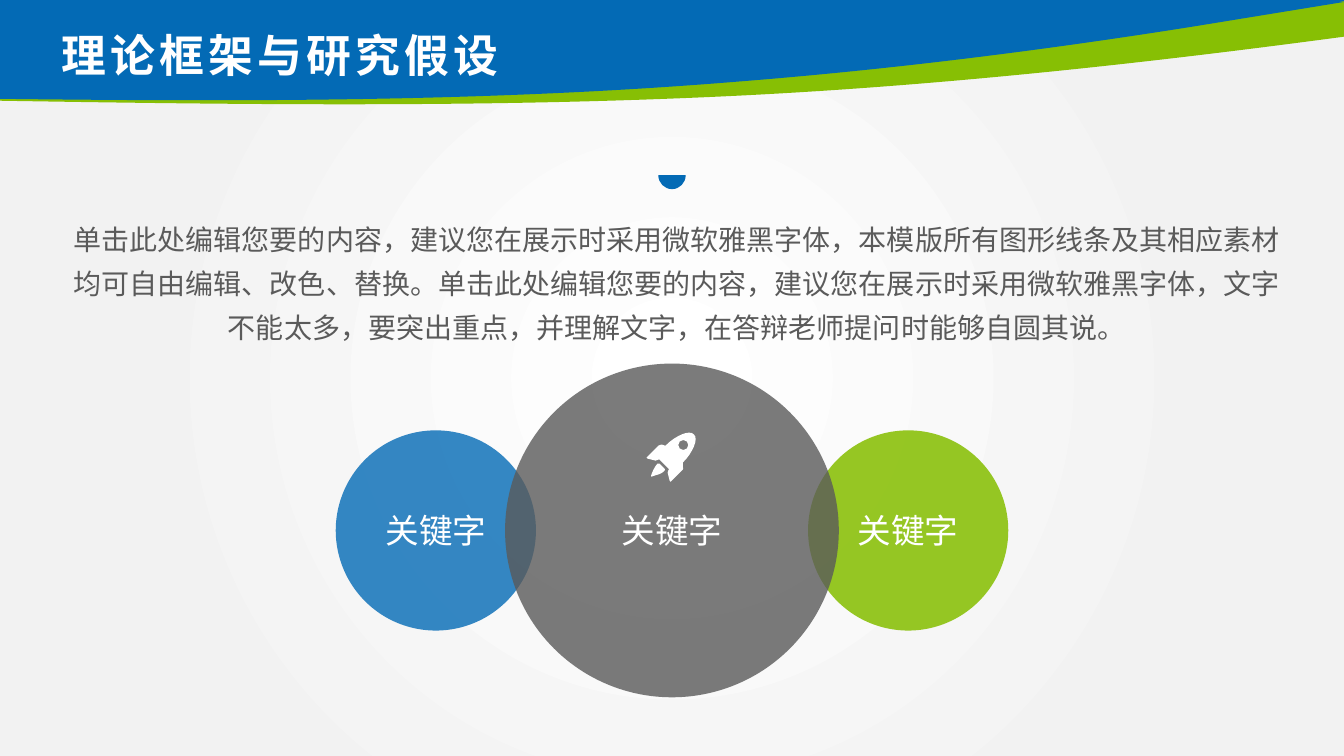
from lxml.etree import SubElement
from pptx import Presentation
from pptx.dml.color import RGBColor
from pptx.enum.shapes import MSO_SHAPE
from pptx.enum.text import MSO_ANCHOR, MSO_AUTO_SIZE, PP_ALIGN
from pptx.oxml import parse_xml
from pptx.oxml.ns import nsdecls, qn
from pptx.util import Pt

WIDTH, HEIGHT = 960, 540
BLUE, GREEN, GRAY, WHITE = "036AB5", "87BF04", "5A5A5A", "FFFFFF"
ASIAN_FONT = "Noto Sans CJK SC"

GREEN_BAND = [
    (0, 72), (175.7, 74.9, 351.4, 77, 527, 68.4),
    (672.5, 61.2, 817.2, 45.4, 962.6, 25.9), (962.6, 0, 962.6, 0, 962.6, 0),
    (817.2, 25.2, 672.5, 46, 527, 57.6), (351.4, 71.3, 175.7, 72, 0, 69.8),
    (0, 70.6, 0, 71.3, 0, 72),
]
BLUE_BAND = [
    (0, 0), (960, 0), (960, 0.7), (955.4, 1.4), (960, 1.4), (854, 18.7),
    (745.2, 36, 635.8, 49.7, 527, 58.3), (351.4, 72.7, 175.7, 72.7, 0, 70.6),
    (0, 69.8), (0, 1.4),
]
ROCKET_FLAME = [
    (13, 34), (12, 33, 12, 34, 11, 34), (7, 38, 3, 49, 5, 47),
    (13, 44, 14, 45, 18, 41), (18, 40, 19, 40, 18, 39),
]
ROCKET_BODY = [
    (36, 34), (36, 33, 36, 33, 36, 33), (46, 23, 52, 9, 47, 5),
    (43, 0, 29, 6, 19, 16), (19, 16, 19, 16, 18, 16), (15, 15, 15, 15, 15, 15),
    (14, 15, 13, 16, 12, 16), (0, 28, 0, 28, 0, 28), (0, 29, 0, 29, 1, 29),
    (9, 31, 9, 31, 9, 31), (10, 31, 11, 30, 12, 30), (12, 30, 13, 29, 13, 30),
    (15, 32, 20, 37, 22, 39), (23, 39, 22, 40, 22, 40), (22, 40, 21, 42, 21, 43),
    (23, 51, 23, 51, 23, 51), (23, 52, 23, 52, 24, 52), (36, 40, 36, 40, 36, 40),
    (36, 39, 37, 38, 36, 37),
]
ROCKET_WINDOW = [
    (33, 19), (31, 17, 31, 14, 33, 12), (35, 10, 38, 10, 40, 12),
    (42, 14, 42, 17, 40, 19), (38, 21, 35, 21, 33, 19),
]
HALF_DISC = [(19.6, 0), (19.6, 5.5, 15.2, 10, 9.8, 10), (4.4, 10, 0, 5.5, 0, 0)]


def color(value):
    return RGBColor.from_string(value)


def paint(shape, fill, opacity=100):
    shape.shadow.inherit = False
    shape.line.fill.background()
    shape.fill.solid()
    shape.fill.fore_color.rgb = color(fill)
    if opacity < 100:
        tone = shape.element.spPr.find(qn("a:solidFill")).find(qn("a:srgbClr"))
        SubElement(tone, qn("a:alpha"), val=str(opacity * 1000))


def bend(shape, contours):
    lines = iter(list(shape.element.iter(qn("a:lnTo"))))
    for contour in contours:
        for segment in contour[1:]:
            line = next(lines)
            if len(segment) == 2:
                continue
            line.tag = qn("a:cubicBezTo")
            for follower in (next(lines), next(lines)):
                line.append(follower[0])
                follower.getparent().remove(follower)


def add_outline(shapes, contours, left, top, scale, fill):
    builder = None
    for contour in contours:
        points = [
            (Pt(left + x * scale), Pt(top + y * scale))
            for segment in contour for x, y in zip(segment[::2], segment[1::2])]
        if builder is None:
            builder = shapes.build_freeform(*points[0])
        else:
            builder.move_to(*points[0])
        builder.add_line_segments(points[1:], close=True)
    shape = builder.convert_to_shape()
    bend(shape, contours)
    paint(shape, fill)
    return shape


def add_run(paragraph, text, size, fill, name="Calibri"):
    run = paragraph.add_run()
    run.text = text
    run.font.size = Pt(size)
    run.font.name = name
    run.font.color.rgb = color(fill)
    SubElement(run.font._element, qn("a:ea"), typeface=ASIAN_FONT)
    return run


def add_centered_text(slide, text, left, top, width, height, size, fill, spacing=None):
    box = slide.shapes.add_textbox(Pt(left), Pt(top), Pt(width), Pt(height))
    box.text_frame.word_wrap = True
    box.text_frame.auto_size = MSO_AUTO_SIZE.SHAPE_TO_FIT_TEXT
    paragraph = box.text_frame.paragraphs[0]
    paragraph.alignment = PP_ALIGN.CENTER
    paragraph.line_spacing = spacing
    add_run(paragraph, text, size, fill)


def set_background(slide):
    fill = slide.background.fill
    fill.gradient()
    for stop, position, tone in zip(fill.gradient_stops, (0, 0.73), (WHITE, "F2F2F2")):
        stop.position = position
        stop.color.rgb = color(tone)
    gradient = next(slide.element.iter(qn("a:gradFill")))
    gradient.replace(gradient.find(qn("a:lin")), parse_xml(
        f'<a:path {nsdecls("a")} path="circle">'
        '<a:fillToRect l="50000" t="50000" r="50000" b="50000"/></a:path>'))


def add_header(slide, text, left, top):
    layout_tree = slide.slide_layout.shapes.element
    for number, (band, fill) in enumerate([(GREEN_BAND, GREEN), (BLUE_BAND, BLUE)]):
        shape = add_outline(slide.shapes, [band], left, top, 1, fill)
        shape.element.nvSpPr.cNvPr.set("id", str(101 + number))
        layout_tree.insert(2 + number, shape.element)
    title = slide.shapes.title
    title.left, title.top = Pt(left + 36.72), Pt(top + 20.2)
    title.width, title.height = Pt(484.5), Pt(42.5)
    frame = title.text_frame
    frame.word_wrap = True
    frame.vertical_anchor = MSO_ANCHOR.MIDDLE
    frame.auto_size = MSO_AUTO_SIZE.SHAPE_TO_FIT_TEXT
    paragraph = frame.paragraphs[0]
    paragraph.alignment = PP_ALIGN.LEFT
    paragraph.line_spacing = 0.9
    run = add_run(paragraph, text, 32, WHITE, ASIAN_FONT)
    run.font.bold = True
    run.font._element.set("spc", "300")


def add_keywords(slide, center_x, center_y, offset):
    discs = [(offset, 143, GREEN, 87), (-offset, 143, BLUE, 80), (0, 238.4, GRAY, 80)]
    for shift, diameter, fill, opacity in discs:
        disc = slide.shapes.add_shape(
            MSO_SHAPE.OVAL, Pt(center_x + shift - diameter / 2),
            Pt(center_y - diameter / 2), Pt(diameter), Pt(diameter))
        paint(disc, fill, opacity)
    for shift in (0, offset, -offset):
        add_centered_text(slide, "关键字", center_x + shift - 60.5, center_y - 18.2,
                          121, 36.4, 24, WHITE)
    rocket = slide.shapes.add_group_shape()
    for contours in ([ROCKET_FLAME], [ROCKET_BODY, ROCKET_WINDOW]):
        add_outline(rocket.shapes, contours, center_x - 18.2, center_y - 72.2, 0.72, WHITE)


def add_introduction(slide, left, top, width, height):
    add_centered_text(
        slide,
        "单击此处编辑您要的内容，建议您在展示时采用微软雅黑字体，本模版所有图形线条及其相应素材"
        "均可自由编辑、改色、替换。单击此处编辑您要的内容，建议您在展示时采用微软雅黑字体，文字"
        "不能太多，要突出重点，并理解文字，在答辩老师提问时能够自圆其说。",
        left, top, width, height, 20, GRAY, 1.3)
    add_outline(slide.shapes, [HALF_DISC], WIDTH / 2 - 9.8, top - 23.2, 1, BLUE)


def main():
    presentation = Presentation()
    presentation.slide_width, presentation.slide_height = Pt(WIDTH), Pt(HEIGHT)
    slide = presentation.slides.add_slide(presentation.slide_layouts[5])
    set_background(slide)
    add_header(slide, "理论框架与研究假设", 0, 0)
    add_keywords(slide, WIDTH / 2, 378.9, 168.7)
    add_introduction(slide, 36.72, 148.3, 893.5, 131)
    presentation.save("out.pptx")


if __name__ == "__main__":
    main()
